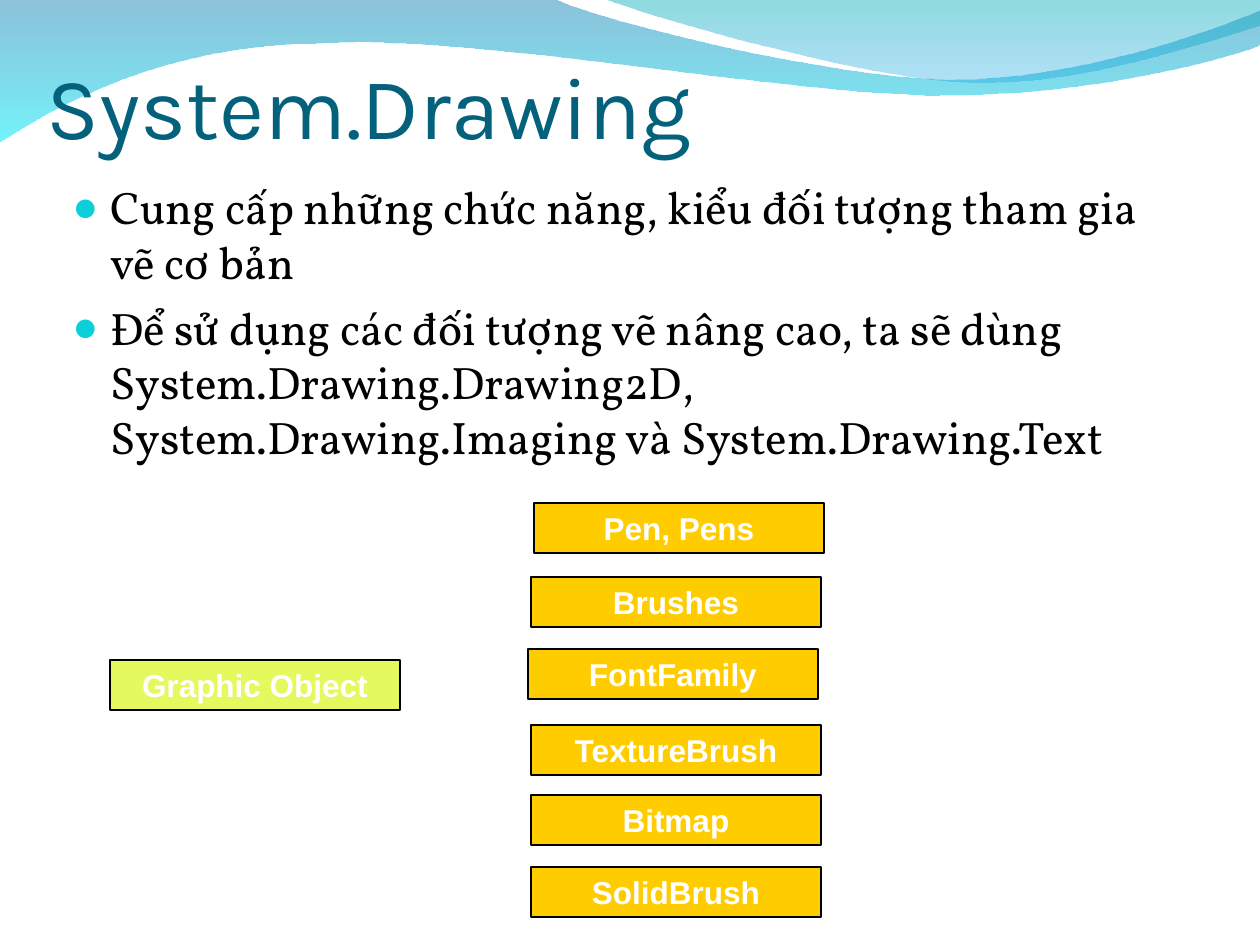
from dataclasses import dataclass

from lxml.etree import SubElement
from pptx import Presentation
from pptx.dml.color import RGBColor
from pptx.enum.shapes import MSO_SHAPE
from pptx.enum.text import MSO_ANCHOR, MSO_AUTO_SIZE, PP_ALIGN
from pptx.oxml.ns import qn
from pptx.util import Pt

PX = 914400 / 126  # EMU in one px


@dataclass(frozen=True)
class Theme:
    title: str = "04617B"
    body: str = "000000"
    bullet: str = "0BD0D9"
    label: str = "FFFFFF"
    border: str = "000000"
    root: str = "E3F95D"
    member: str = "FFCC00"
    # Gradient stops: colour and opacity in percent
    back_wave: tuple = (("0079AF", 45), ("00EBF8", 55))
    front_wave: tuple = (("00ADB6", 45), ("009BE5", 30))
    title_font: str = "Karla"
    body_font: str = "Vollkorn"
    label_font: str = "Arial"
    title_size: int = 50
    body_size: int = 26
    label_size: int = 18


def emu(px):
    return round(px * PX)


def rgb(value):
    return RGBColor.from_string(value)


def write(p, text, *, font, size, color, bold=False, align=PP_ALIGN.LEFT):
    p.alignment = align
    r = p.add_run()
    r.text = text
    r.font.name, r.font.size, r.font.bold = font, Pt(size), bold
    r.font.color.rgb = rgb(color)


class Deck:
    def __init__(self, theme):
        self.theme = theme
        self.prs = Presentation()
        self.prs.slide_width, self.prs.slide_height = emu(1260), emu(945)
        self.slide = self.prs.slides.add_slide(self.prs.slide_layouts[6])

    def wave(self, start, segments, stops):
        """Each segment is one point for a line, or three for a curve."""
        builder = self.slide.shapes.build_freeform(*start, scale=PX)
        builder.add_line_segments([pt for seg in segments for pt in seg], close=True)
        s = builder.convert_to_shape()
        s.shadow.inherit = False
        s.line.fill.background()
        s.fill.gradient()
        s.fill.gradient_angle = 270
        for stop, (color, _) in zip(s.fill.gradient_stops, stops):
            stop.color.rgb = rgb(color)
        spPr = s._element.spPr
        for node, (_, opacity) in zip(list(spPr.iter(qn("a:srgbClr"))), stops):
            SubElement(node, qn("a:alpha"), val=str(opacity * 1000))
        # Join the three points of each curve into one cubic segment
        lines = iter(list(spPr.iter(qn("a:lnTo"))))
        for seg in segments:
            first, *others = [next(lines) for _ in seg]
            if others:
                first.tag = qn("a:cubicBezTo")
            for line in others:
                first.append(line[0])
                line.getparent().remove(line)

    def text_frame(self, x, y, w, h):
        sp = self.slide.shapes.add_textbox(emu(x), emu(y), emu(w), emu(h))
        sp.text_frame.word_wrap = True
        return sp.text_frame

    def title(self, text, x, y, w, h):
        t = self.theme
        tf = self.text_frame(x, y, w, h)
        tf.vertical_anchor = MSO_ANCHOR.BOTTOM
        tf.margin_left = tf.margin_right = tf.margin_bottom = 0
        write(tf.paragraphs[0], text, font=t.title_font, size=t.title_size,
              color=t.title)

    def bullets(self, items, x, y, w, h):
        t = self.theme
        tf = self.text_frame(x, y, w, h)
        for i, text in enumerate(items):
            p = tf.add_paragraph() if i else tf.paragraphs[0]
            pPr = p._p.get_or_add_pPr()
            pPr.set("marL", str(emu(38)))
            pPr.set("indent", str(-emu(38)))
            SubElement(SubElement(pPr, qn("a:buClr")), qn("a:srgbClr"), val=t.bullet)
            SubElement(pPr, qn("a:buSzPct"), val="95000")
            SubElement(pPr, qn("a:buFont"), typeface=t.label_font)
            SubElement(pPr, qn("a:buChar"), char="●")
            if i:
                p.space_before = Pt(6.5)
            write(p, text, font=t.body_font, size=t.body_size, color=t.body)

    def box(self, text, x, y, fill, w=290, h=50):
        t = self.theme
        s = self.slide.shapes.add_shape(MSO_SHAPE.RECTANGLE,
                                        emu(x), emu(y), emu(w), emu(h))
        s.shadow.inherit = False
        s.fill.solid()
        s.fill.fore_color.rgb = rgb(fill)
        s.line.color.rgb = rgb(t.border)
        s.line.width = Pt(0.75)
        tf = s.text_frame
        tf.word_wrap = True
        tf.auto_size = MSO_AUTO_SIZE.SHAPE_TO_FIT_TEXT
        tf.vertical_anchor = MSO_ANCHOR.TOP
        write(tf.paragraphs[0], text, font=t.label_font, size=t.label_size,
              color=t.label, bold=True, align=PP_ALIGN.CENTER)


def main():
    theme = Theme()
    deck = Deck(theme)

    # Waves along the top edge
    deck.wave((0, -1), [
        [(554, -1)],
        [(600, 21), (837, 79), (955, 79)],
        [(1075, 79), (1207, 33), (1260, 11)],
        [(1261, 45)],
        [(1239, 55), (1096, 96), (940, 95)],
        [(784, 95), (481, 35), (324, 43)],
        [(163, 44), (58, 105), (-1, 142)],
    ], theme.back_wave)
    deck.wave((604, -1), [
        [(641, 14), (859, 78), (969, 82)],
        [(1079, 87), (1211, 40), (1260, 26)],
        [(1260, 0)],
    ], theme.front_wave)

    # Title and bullets
    deck.title("System.Drawing", 47, 0, 1134, 157)
    deck.bullets([
        "Cung cấp những chức năng, kiểu đối tượng tham gia vẽ cơ bản",
        "Để sử dụng các đối tượng vẽ nâng cao, ta sẽ dùng "
        "System.Drawing.Drawing2D, System.Drawing.Imaging và System.Drawing.Text",
    ], 60, 173, 1134, 609)

    # Graphic object and the classes it uses
    deck.box("Graphic Object", 110, 660, theme.root)
    for text, x, y in [
        ("Pen, Pens", 534, 503),
        ("Brushes", 531, 577),
        ("FontFamily", 528, 649),
        ("TextureBrush", 531, 725),
        ("Bitmap", 531, 795),
        ("SolidBrush", 531, 867),
    ]:
        deck.box(text, x, y, theme.member)

    deck.prs.save("out.pptx")


if __name__ == "__main__":
    main()
